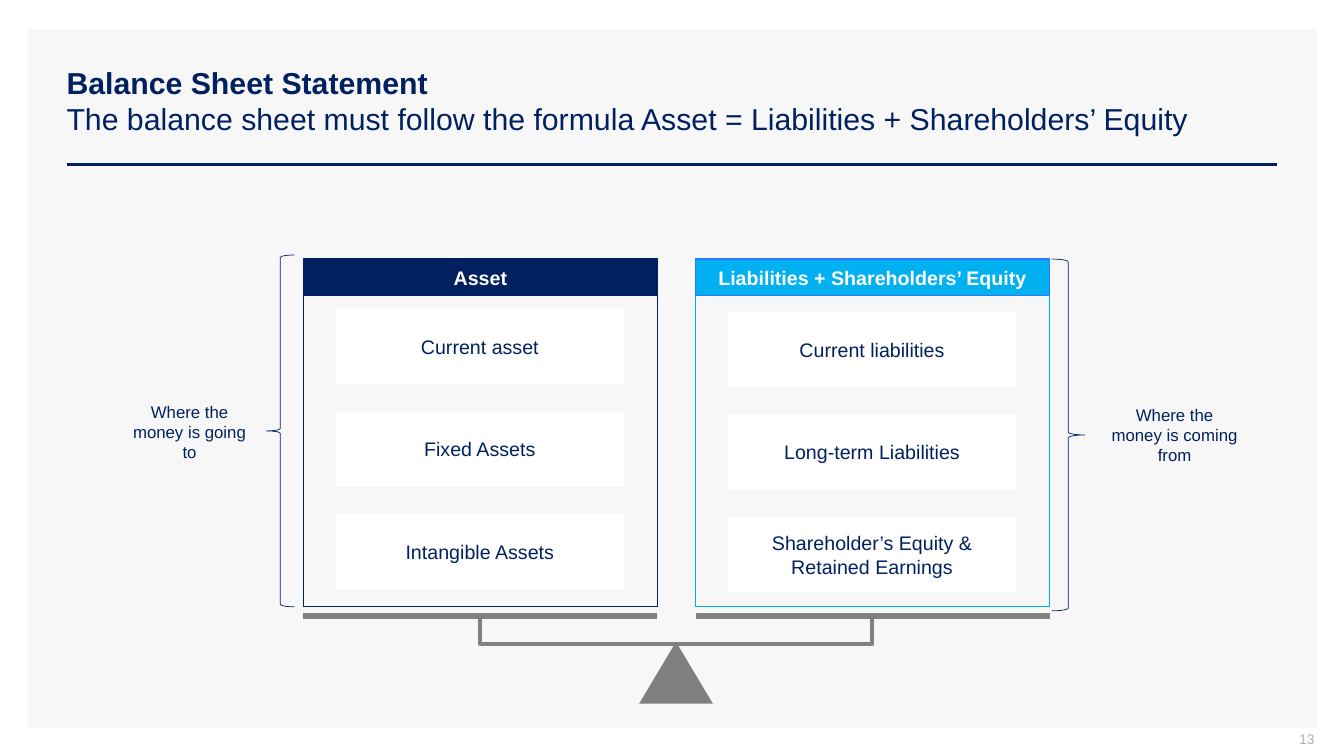
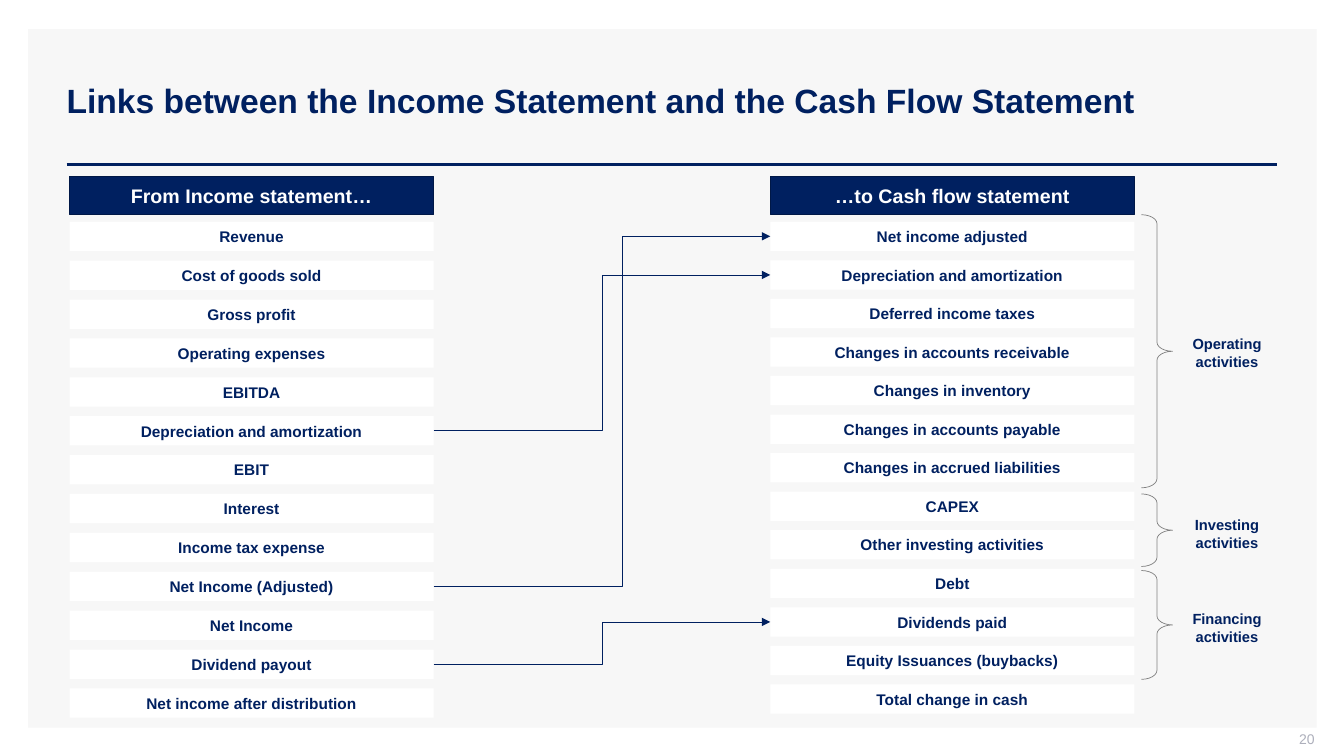
"""Build two finance slides: the balance sheet, and links from income to cash flow."""
from lxml.etree import SubElement
from pptx import Presentation
from pptx.dml.color import RGBColor
from pptx.enum.shapes import MSO_CONNECTOR, MSO_SHAPE
from pptx.enum.text import MSO_ANCHOR, MSO_AUTO_SIZE, PP_ALIGN
from pptx.oxml.ns import qn
from pptx.util import Inches, Pt

HUES = {"navy": "002060", "dark": "001847", "sky": "00B0F0", "blue": "3075FF",
        "gray": "808080", "pale": "F7F7F7", "mist": "ADAFBB", "white": "FFFFFF"}

FONTS = {
    "title": {"size": 24, "bold": True, "hue": "navy"},
    "lead": {"size": 21.6, "bold": True, "hue": "navy"},
    "sub": {"size": 21.6, "bold": False, "hue": "navy"},
    "head": {"size": 14, "bold": True, "hue": "white"},
    "item": {"size": 14, "bold": False, "hue": "navy"},
    "note": {"size": 12, "bold": False, "hue": "navy"},
    "row": {"size": 11, "bold": True, "hue": "navy"},
    "group": {"size": 10.5, "bold": True, "hue": "navy"},
    "page": {"size": 10, "bold": False, "hue": "mist"},
}

SHEET = [("Balance Sheet Statement", "lead"),
         ("The balance sheet must follow the formula "
          "Asset = Liabilities + Shareholders’ Equity", "sub")]
LINKS = [("Links between the Income Statement and the Cash Flow Statement", "title")]

PANS = [
    {"head": "Asset", "left": 3.01, "fill": "navy", "edge": "navy", "top": 3.06,
     "items": ["Current asset", "Fixed Assets", "Intangible Assets"],
     "brace": (MSO_SHAPE.LEFT_BRACE, 2.64, 2.53, 0.28, 3.49),
     "note": ("Where the money is going to", 1.14, 3.93)},
    {"head": "Liabilities + Shareholders’ Equity", "left": 6.9, "fill": "sky",
     "edge": "blue", "top": 3.09,
     "items": ["Current liabilities", "Long-term Liabilities",
               "Shareholder’s Equity & Retained Earnings"],
     "brace": (MSO_SHAPE.RIGHT_BRACE, 10.43, 2.57, 0.33, 3.49),
     "note": ("Where the money is coming from", 10.91, 3.96)},
]

LISTS = [
    {"head": "From Income statement…", "left": 0.69, "last": 6.83,
     "rows": ["Revenue", "Cost of goods sold", "Gross profit", "Operating expenses",
              "EBITDA", "Depreciation and amortization", "EBIT", "Interest",
              "Income tax expense", "Net Income (Adjusted)", "Net Income",
              "Dividend payout", "Net income after distribution"]},
    {"head": "…to Cash flow statement", "left": 7.64, "last": 6.79,
     "rows": ["Net income adjusted", "Depreciation and amortization",
              "Deferred income taxes", "Changes in accounts receivable",
              "Changes in inventory", "Changes in accounts payable",
              "Changes in accrued liabilities", "CAPEX", "Other investing activities",
              "Debt", "Dividends paid", "Equity Issuances (buybacks)",
              "Total change in cash"]},
]
GROUPS = [("Operating activities", 2.13, 2.71, 3.27),
          ("Investing activities", 4.9, 0.72, 5.07),
          ("Financing activities", 5.66, 1.08, 6)]
FLOWS = [("Net Income (Adjusted)", "Net income adjusted", 0.56),
         ("Depreciation and amortization", "Depreciation and amortization", 0.5),
         ("Dividend payout", "Dividends paid", 0.5)]


def tint(name):
    return RGBColor.from_string(HUES[name])


def style(run, kind):
    form = FONTS[kind]
    for key, val in {"name": "Arial", "size": Pt(form["size"]),
                     "bold": form["bold"]}.items():
        setattr(run.font, key, val)
    run.font.color.rgb = tint(form["hue"])


def write(frame, parts, align=PP_ALIGN.CENTER):
    for key, val in {"word_wrap": True, "auto_size": MSO_AUTO_SIZE.NONE,
                     "vertical_anchor": MSO_ANCHOR.MIDDLE}.items():
        setattr(frame, key, val)
    para = frame.paragraphs[0]
    para.alignment = align
    for i, (text, kind) in enumerate(parts):
        if i:
            para.add_line_break()
        run = para.add_run()
        run.text = text
        style(run, kind)


def paint(shape, fill=None, edge=None, width=1):
    shape.shadow.inherit = False
    if fill:
        shape.fill.solid()
        shape.fill.fore_color.rgb = tint(fill)
    else:
        shape.fill.background()
    if edge:
        shape.line.color.rgb = tint(edge)
        shape.line.width = Pt(width)
    else:
        shape.line.fill.background()
    return shape


def draw(slide, form, *spot, **look):
    return paint(slide.shapes.add_shape(form, *map(Inches, spot)), **look)


def box(slide, *spot, text=None, kind="item", **look):
    shape = draw(slide, MSO_SHAPE.RECTANGLE, *spot, **look)
    if text:
        write(shape.text_frame, [(text, kind)])
    return shape


def label(slide, text, kind, *spot, align=PP_ALIGN.CENTER):
    frame = slide.shapes.add_textbox(*map(Inches, spot)).text_frame
    write(frame, [(text, kind)], align)
    return frame


def line(slide, form, ends, hue, width):
    wire = slide.shapes.add_connector(form, *map(Inches, ends))
    wire.line.color.rgb = tint(hue)
    wire.line.width = Pt(width)
    SubElement(wire.element.spPr, qn("a:effectLst"))
    return wire


def bend(wire, ratio):
    guides = wire.element.spPr.find(qn("a:prstGeom")).get_or_add_avLst()
    SubElement(guides, qn("a:gd"), name="adj1", fmla=f"val {round(ratio * 100000)}")


def place(shape, *spot):
    for key, val in zip(("left", "top", "width", "height"), spot):
        setattr(shape, key, Inches(val))


def base(deck, layout):
    """Put the panel, rule and title place on the layout."""
    slide = deck.slides.add_slide(layout)
    rule = line(slide, MSO_CONNECTOR.STRAIGHT, (0.66, 1.63, 12.67, 1.63), "navy", 2)
    panel = box(slide, 0.28, 0.29, 12.78, 6.93, fill="pale")
    for i, part in enumerate((rule, panel)):
        part.element.xpath(".//p:cNvPr")[0].set("id", str(90 + i))
        layout.shapes.element.insert(2, part.element)
    place(layout.placeholders[0], 0.56, 0.4, 12.11, 1.19)
    return slide


def top(slide, parts, page):
    write(slide.shapes.title.text_frame, parts, PP_ALIGN.LEFT)
    frame = label(slide, page, "page", 10.04, 7.25, 3, 0.21, align=PP_ALIGN.RIGHT)
    for key, val in {"margin_right": 0, "margin_top": 0,
                     "margin_bottom": 0.05}.items():
        setattr(frame, key, Inches(val))


def scale(slide):
    wide = 3.51
    for pan in PANS:
        left = pan["left"]
        box(slide, left, 2.86, wide, 3.16, edge=pan["fill"])
        box(slide, left, 2.57, wide, 0.36, text=pan["head"], kind="head",
            fill=pan["fill"], edge=pan["edge"])
        for i, text in enumerate(pan["items"]):
            box(slide, left + 0.32, pan["top"] + i * 1.02, 2.86, 0.75,
                text=text, fill="white")
        draw(slide, *pan["brace"], edge="navy", width=0.5)
        text, *spot = pan["note"]
        label(slide, text, "note", *spot, 1.48, 0.71)
        line(slide, MSO_CONNECTOR.STRAIGHT, (left, 6.11, left + wide, 6.11), "gray", 4)
    beam = line(slide, MSO_CONNECTOR.ELBOW, (6.72, 8.07, 6.69, 4.18), "gray", 2.75)
    beam.element.spPr.find(qn("a:xfrm")).set("rot", "5400000")
    bend(beam, -8.33)
    start, *rest = [(Inches(x), Inches(y)) for x, y in
                    ((6.34, 6.98), (6.68, 6.41), (6.73, 6.41), (7.07, 6.98))]
    path = slide.shapes.build_freeform(*start)
    path.add_line_segments(rest)
    paint(path.convert_to_shape(), fill="gray")


def flow(slide):
    cells = []
    for col in LISTS:
        left, rows = col["left"], col["rows"]
        box(slide, left, 1.75, 3.61, 0.38, text=col["head"], kind="head",
            fill="navy", edge="dark")
        step = (col["last"] - 2.2) / (len(rows) - 1)
        cells.append({text: box(slide, left, 2.2 + i * step, 3.61, 0.29, text=text,
                                kind="row", fill="white")
                      for i, text in enumerate(rows)})
    for text, y, high, mid in GROUPS:
        brace = draw(slide, MSO_SHAPE.RIGHT_BRACE, 11.32, y, 0.31, high,
                     edge="gray", width=0.5)
        brace.adjustments[0] = 0.29
        label(slide, text, "group", 11.55, mid, 1.24, 0.45)
    for start, end, ratio in FLOWS:
        wire = line(slide, MSO_CONNECTOR.ELBOW, (0, 0, 1, 1), "navy", 0.5)
        wire.begin_connect(cells[0][start], 3)
        wire.end_connect(cells[1][end], 1)
        bend(wire, ratio)
        SubElement(wire.line._get_or_add_ln(), qn("a:tailEnd"), type="triangle")


def main():
    deck = Presentation()
    deck.slide_width, deck.slide_height = Inches(13.33), Inches(7.5)
    layout = deck.slide_layouts[5]
    first = base(deck, layout)
    top(first, SHEET, "13")
    scale(first)
    second = deck.slides.add_slide(layout)
    top(second, LINKS, "20")
    flow(second)
    deck.save("out.pptx")


if __name__ == "__main__":
    main()
